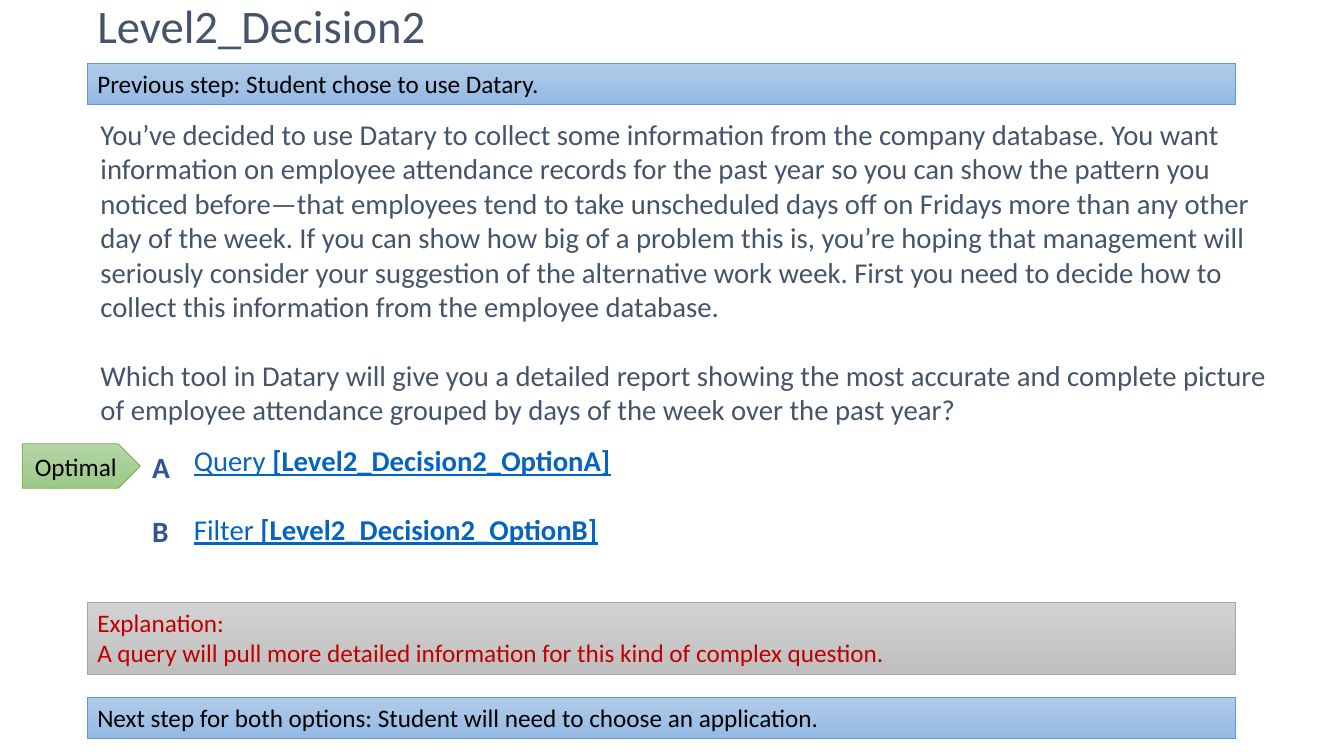
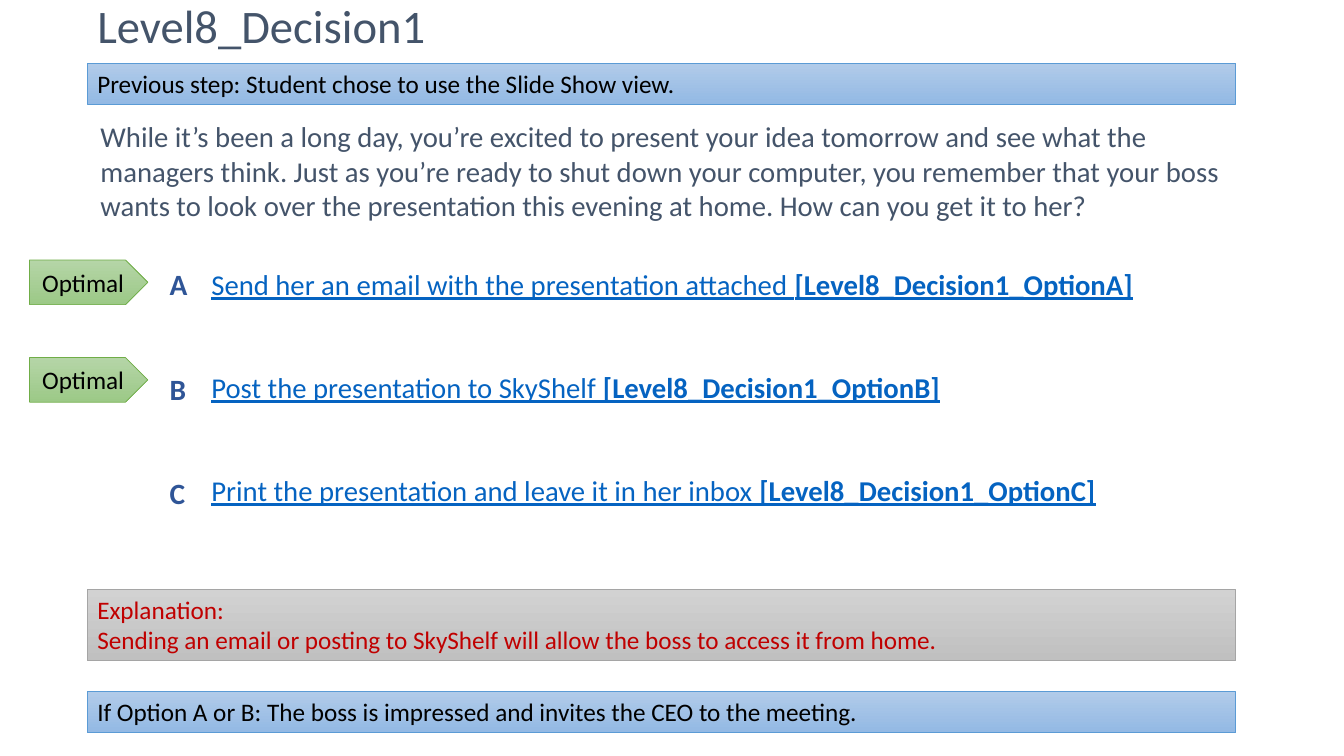
from pptx import Presentation
from pptx.dml.color import RGBColor
from pptx.enum.shapes import MSO_SHAPE
from pptx.enum.text import MSO_ANCHOR, PP_ALIGN
from pptx.util import Inches, Pt

COLORS = {
    "text": "44546A", "link": "0563C1", "letter": "2F5597",
    "black": "000000", "red": "C00000",
}
# Gradient top, gradient bottom, outline
BANDS = {
    "step": ("B1CBE9", "93B9E4", "5B9BD5"),
    "explanation": ("D2D2D2", "C0C0C0", "A5A5A5"),
    "optimal": ("B5D5A7", "9CC987", "70AD47"),
}
# Shares of the slide in percent
LEFT, WIDTH = 6.5, 85.45
BAND_H, EXPLANATION_H, BADGE_H = 5.4, 9.5, 5.9
BADGE_W, LETTER_W, LETTER_TO_OPTION = 8.8, 4.6, 3.1
RIGHT = LEFT + WIDTH
BODY_LINE = 24.5  # points

DECISIONS = [
    {
        "title": "Level2_Decision2",
        "previous": "Previous step: Student chose to use Datary.",
        "body": [
            "You’ve decided to use Datary to collect some information from the company database. "
            "You want information on employee attendance records for the past year so you can show "
            "the pattern you noticed before—that employees tend to take unscheduled days off on "
            "Fridays more than any other day of the week. If you can show how big of a problem this "
            "is, you’re hoping that management will seriously consider your suggestion of the "
            "alternative work week. First you need to decide how to collect this information from "
            "the employee database.",
            "Which tool in Datary will give you a detailed report showing the most accurate and "
            "complete picture of employee attendance grouped by days of the week over the past year?",
        ],
        "body_box": (14.5, 89.35, 42),
        "options": ["Query", "Filter"],
        "options_top": 57.7, "options_h": 17, "blank_lines": 1,
        "letter_left": 10.35, "letter_top": 58.5, "letter_pitch": 8.4,
        "badge_left": 1.65, "badge_tops": [58.7],
        "explanation": "A query will pull more detailed information for this kind of complex question.",
        "explanation_top": 79.7,
        "next": "Next step for both options: Student will need to choose an application.",
        "next_top": 92.3,
    },
    {
        "title": "Level8_Decision1",
        "previous": "Previous step: Student chose to use the Slide Show view.",
        "body": [
            "While it’s been a long day, you’re excited to present your idea tomorrow and see what "
            "the managers think. Just as you’re ready to shut down your computer, you remember that "
            "your boss wants to look over the presentation this evening at home. How can you get it "
            "to her?",
        ],
        "body_box": (14.8, WIDTH, 18),
        "options": [
            "Send her an email with the presentation attached",
            "Post the presentation to SkyShelf",
            "Print the presentation and leave it in her inbox",
        ],
        "options_top": 34.4, "options_h": 39.7, "blank_lines": 2,
        "letter_left": 11.65, "letter_top": 34.3, "letter_pitch": 13.8,
        "badge_left": 2.2, "badge_tops": [34.4, 47.3],
        "explanation": "Sending an email or posting to SkyShelf will allow the boss to access it from home.",
        "explanation_top": 77.9,
        "next": "If Option A or B: The boss is impressed and invites the CEO to the meeting.",
        "next_top": 91.5,
    },
]

prs = Presentation()
prs.slide_width, prs.slide_height = Inches(13.33), Inches(7.5)


def add_text(slide, box, paragraphs, size, color, margins=(0.13, 0.07), gap=0, band=None,
             shape_type=MSO_SHAPE.RECTANGLE, anchor=MSO_ANCHOR.TOP, align=PP_ALIGN.LEFT):
    """Add a text box, or a gradient band; each paragraph is a (plain, bold) pair."""
    left, top, width, height = box
    place = (int(prs.slide_width * left / 100), int(prs.slide_height * top / 100),
             int(prs.slide_width * width / 100), int(prs.slide_height * height / 100))
    if band:
        shape = slide.shapes.add_shape(shape_type, *place)
        shape.shadow.inherit = False
        *shades, outline = BANDS[band]
        shape.fill.gradient()
        shape.fill.gradient_angle = 270
        for stop, shade in zip(shape.fill.gradient_stops, shades):
            stop.color.rgb = RGBColor.from_string(shade)
        shape.line.color.rgb = RGBColor.from_string(outline)
        shape.line.width = Pt(0.5)
    else:
        shape = slide.shapes.add_textbox(*place)
    frame = shape.text_frame
    frame.word_wrap = True
    frame.vertical_anchor = anchor
    frame.margin_left = frame.margin_right = Inches(margins[0])
    frame.margin_top = frame.margin_bottom = Inches(margins[1])
    for index, (plain, bold) in enumerate(paragraphs):
        paragraph = frame.paragraphs[0] if index == 0 else frame.add_paragraph()
        paragraph.alignment = align
        if index and gap:
            paragraph.space_before = Pt(gap)
        paragraph.font.name = "Calibri"
        paragraph.font.size = Pt(size)
        paragraph.font.color.rgb = RGBColor.from_string(COLORS[color])
        paragraph.font.underline = True if color == "link" else None
        for words, is_bold in ((plain, False), (bold, True)):
            if words:
                run = paragraph.add_run()
                run.text = words
                run.font.bold = is_bold
    return frame


for decision in DECISIONS:
    slide = prs.slides.add_slide(prs.slide_layouts[6])

    # Title
    title = add_text(slide, (LEFT, 0.1, WIDTH, 7.3), [(decision["title"], "")], 33.3, "text",
                     margins=(0.1, 0.05), anchor=MSO_ANCHOR.MIDDLE)
    title.paragraphs[0].line_spacing = 0.9

    # Scenario
    body_top, body_w, body_h = decision["body_box"]
    add_text(slide, (LEFT, body_top, body_w, body_h), [(words, "") for words in decision["body"]],
             20.5, "text", gap=BODY_LINE)

    # Options and their letters
    letters = "ABC"[:len(decision["options"])]
    option_left = decision["letter_left"] + LETTER_TO_OPTION
    add_text(slide, (option_left, decision["options_top"], RIGHT - option_left, decision["options_h"]),
             [(f"{words} ", f"[{decision['title']}_Option{letter}]")
              for words, letter in zip(decision["options"], letters)],
             20.5, "link", gap=BODY_LINE * decision["blank_lines"])
    for row, letter in enumerate(letters):
        letter_top = decision["letter_top"] + row * decision["letter_pitch"]
        add_text(slide, (decision["letter_left"], letter_top, LETTER_W, BADGE_H),
                 [("", letter)], 21, "letter")

    # Badges of the optimal options
    for badge_top in decision["badge_tops"]:
        add_text(slide, (decision["badge_left"], badge_top, BADGE_W, BADGE_H), [("Optimal", "")],
                 18, "black", margins=(0.1, 0.05), band="optimal", shape_type=MSO_SHAPE.PENTAGON,
                 anchor=MSO_ANCHOR.MIDDLE, align=PP_ALIGN.CENTER)

    # Previous step, explanation and next step
    for top, height, lines, color, band in (
        (8.4, BAND_H, [decision["previous"]], "black", "step"),
        (decision["explanation_top"], EXPLANATION_H, ["Explanation:", decision["explanation"]],
         "red", "explanation"),
        (decision["next_top"], BAND_H, [decision["next"]], "black", "step"),
    ):
        add_text(slide, (LEFT, top, WIDTH, height), [(line, "") for line in lines], 18, color,
                 margins=(0.1, 0.05), band=band)

prs.save("out.pptx")
